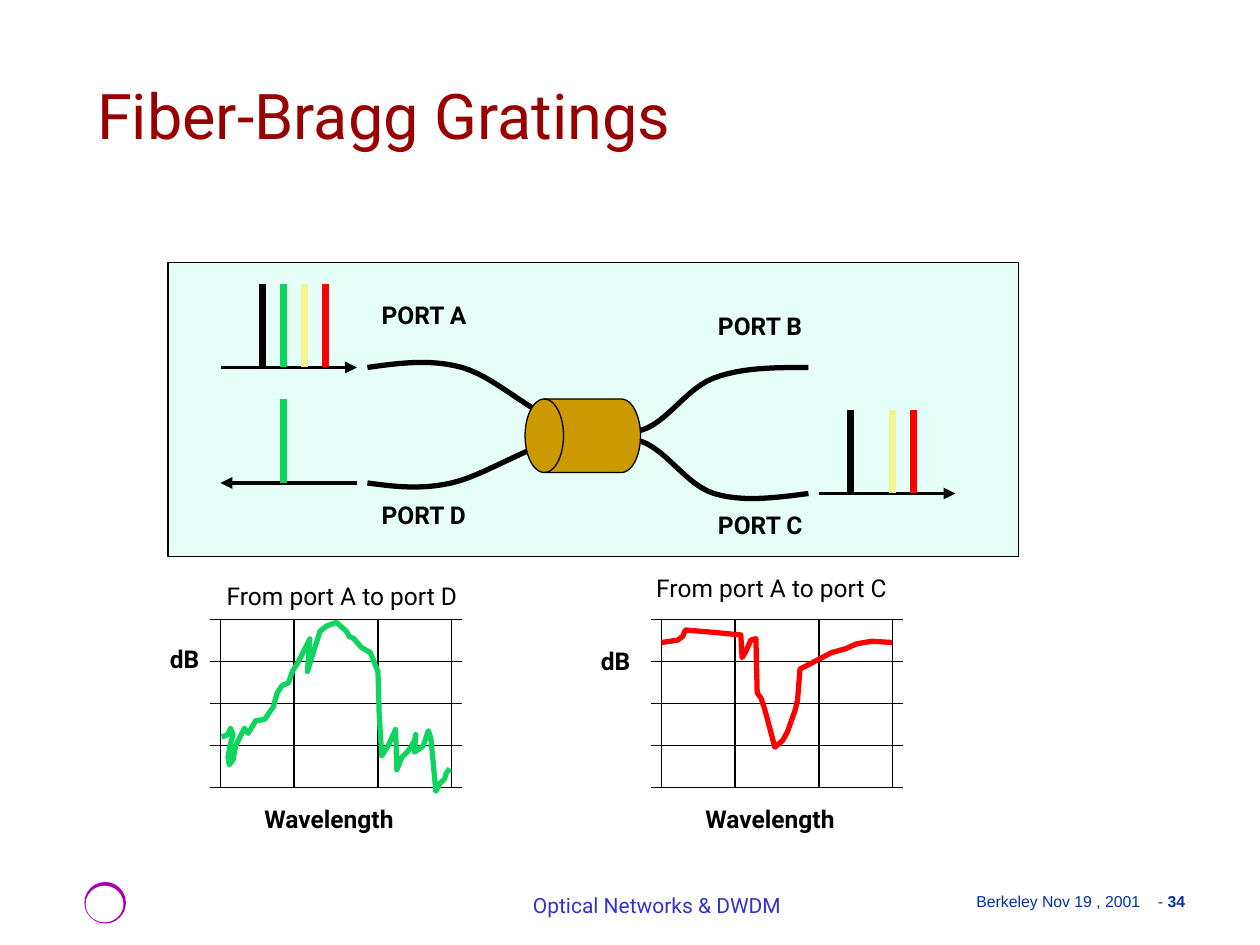
from lxml.etree import SubElement
from pptx import Presentation
from pptx.dml.color import RGBColor
from pptx.enum.shapes import MSO_CONNECTOR, MSO_SHAPE
from pptx.enum.text import MSO_ANCHOR, MSO_AUTO_SIZE, PP_ALIGN
from pptx.oxml.ns import qn
from pptx.util import Inches, Pt

BLACK, GREEN, YELLOW, RED = "000000", "0FD55F", "F3F58F", "FF0000"

FIBERS = [
    [(35, 35), (44, 35), (53, 40), (61, 41), (68, 36), (77, 35)],
    [(35, 46), (43, 46), (53, 42), (61, 42), (68, 47), (77, 47)],
]
REFLECTED = [
    (1.76, 5.85), (1.81, 5.83), (1.83, 5.78), (1.85, 5.83), (1.83, 5.9), (1.81, 6.01),
    (1.82, 6.07), (1.85, 6.03), (1.87, 5.92), (1.94, 5.78), (1.97, 5.82), (2.03, 5.72),
    (2.1, 5.71), (2.17, 5.61), (2.2, 5.5), (2.24, 5.44), (2.29, 5.42), (2.32, 5.33),
    (2.37, 5.25), (2.46, 5.07), (2.44, 5.33), (2.54, 5.01), (2.59, 4.97), (2.67, 4.94),
    (2.75, 5.01), (2.77, 5.05), (2.81, 5.07), (2.87, 5.14), (2.94, 5.18), (3, 5.33),
    (3.01, 5.67), (3.03, 6), (3.08, 5.92), (3.14, 5.79), (3.15, 6.11), (3.19, 6.01),
    (3.24, 5.96), (3.29, 5.88), (3.3, 5.83), (3.29, 5.97), (3.36, 5.92), (3.4, 5.8),
    (3.42, 5.86), (3.46, 6.28), (3.49, 6.22), (3.53, 6.18), (3.54, 6.14), (3.57, 6.1),
]
TRANSMITTED = [
    (5.25, 5.1), (5.32, 5.09), (5.38, 5.08), (5.42, 5.05), (5.44, 5), (5.67, 5.02),
    (5.88, 5.04), (5.89, 5.22), (5.92, 5.17), (5.96, 5.08), (6, 5.07), (6.01, 5.5),
    (6.04, 5.54), (6.07, 5.63), (6.15, 5.93), (6.21, 5.88), (6.25, 5.81), (6.31, 5.64),
    (6.33, 5.56), (6.35, 5.31), (6.39, 5.29), (6.6, 5.18), (6.71, 5.15), (6.8, 5.11),
    (6.92, 5.09), (7.08, 5.1),
]


def color(value):
    """Turn a hex string into a colour."""
    return RGBColor.from_string(value)


def grid(*units):
    """Convert grid units of a twelfth of an inch to lengths."""
    return [Inches(unit / 12) for unit in units]


def inches(*values):
    """Convert several numbers to lengths."""
    return [Inches(value) for value in values]


def set_line(line, value, width):
    """Give a line its colour and width."""
    line.color.rgb = color(value)
    line.width = Pt(width)


def add_solid(slide, preset, bounds, fill, outlined=True):
    """Add a filled preset shape."""
    shape = slide.shapes.add_shape(preset, *bounds)
    shape.shadow.inherit = False
    shape.fill.solid()
    shape.fill.fore_color.rgb = color(fill)
    if outlined:
        set_line(shape.line, BLACK, 0.75)
    else:
        shape.line.fill.background()
    return shape


def add_line(slide, start, end, value=BLACK, width=0.75, arrow=False):
    """Add a straight line between two grid points."""
    line = slide.shapes.add_connector(MSO_CONNECTOR.STRAIGHT, *grid(*start, *end))
    set_line(line.line, value, width)
    if arrow:
        SubElement(line.line._get_or_add_ln(), qn("a:tailEnd"), type="triangle")
    SubElement(line._element.spPr, qn("a:effectLst"))


def add_curve(slide, points, value):
    """Add an open outline through points given as lengths."""
    builder = slide.shapes.build_freeform(*points[0], scale=1.0)
    builder.add_line_segments(points[1:], close=False)
    curve = builder.convert_to_shape()
    curve.shadow.inherit = False
    curve.fill.background()
    set_line(curve.line, value, 3)


def smooth_points(knots, steps=12):
    """Sample a smooth spline that passes through the knots."""
    tangents = [[(after - before) / 6 for before, after in zip(previous, following)]
                for previous, following in zip(knots, knots[2:])]
    first = [(b - t - a) / 2 for a, b, t in zip(knots[0], knots[1], tangents[0])]
    last = [(b - a - t) / 2 for a, b, t in zip(knots[-2], knots[-1], tangents[-1])]
    tangents = [first, *tangents, last]
    points = [knots[0]]
    for index in range(len(knots) - 1):
        ends = list(zip(knots[index], knots[index + 1], tangents[index], tangents[index + 1]))
        for step in range(1, steps + 1):
            t = step / steps
            s = 1 - t
            points.append([s**3 * a + 3 * s * s * t * (a + u) + 3 * s * t * t * (b - v) + t**3 * b
                           for a, b, u, v in ends])
    return points


def format_runs(paragraph, size, value, name="Roboto", bold=False):
    """Format every run of a paragraph."""
    for run in paragraph.runs:
        run.font.size, run.font.name, run.font.bold = Pt(size), name, bold
        run.font.color.rgb = color(value)


def add_label(slide, text, left, top, width, bold=True):
    """Add a one-line label on the diagram."""
    box = slide.shapes.add_textbox(*inches(left, top, width, 0.34))
    box.text_frame.word_wrap = False
    box.text_frame.text = text
    format_runs(box.text_frame.paragraphs[0], 14, BLACK, bold=bold)


def add_signal(slide, start, end, baseline, bars):
    """Add a wavelength axis with its coloured bars."""
    add_line(slide, (start, baseline), (end, baseline), BLACK, 2.25, arrow=True)
    for column, value in bars:
        add_line(slide, (column, baseline - 8), (column, baseline), value, 4.5)


def add_graph(slide, left, trace, value):
    """Add a spectrum graph with its grid and trace."""
    top, bottom = 59, 75
    for row in range(top, bottom + 1, 4):
        add_line(slide, (left, row), (left + 24, row))
    for column in (1, 8, 16, 23):
        add_line(slide, (left + column, top), (left + column, bottom))
    add_curve(slide, [inches(*point) for point in trace], value)
    add_label(slide, "Wavelength", (left + 4) / 12, 6.33, 1.37)


def add_title(slide, text):
    """Place and format the title."""
    title = slide.shapes.title
    title.left, title.top, title.width, title.height = inches(0.67, 0.33, 8.52, 0.93)
    frame = title.text_frame
    frame.text = text
    frame.auto_size = MSO_AUTO_SIZE.NONE
    frame.vertical_anchor = MSO_ANCHOR.BOTTOM
    frame.paragraphs[0].alignment = PP_ALIGN.LEFT
    format_runs(frame.paragraphs[0], 36, "990000")


def add_footer(slide):
    """Add the ring, the course name and the date with page number."""
    add_solid(slide, MSO_SHAPE.OVAL, inches(0.67, 7, 0.33, 0.33), "A603AB", False)
    add_solid(slide, MSO_SHAPE.OVAL, inches(0.68, 7.03, 0.3, 0.29), "FFFFFF", False)

    course = slide.shapes.add_textbox(*inches(3.63, 6.83, 3.17, 0.5)).text_frame
    course.word_wrap = True
    course.vertical_anchor = MSO_ANCHOR.BOTTOM
    course.text = "Optical Networks & DWDM"
    course.paragraphs[0].alignment = PP_ALIGN.CENTER
    format_runs(course.paragraphs[0], 12, "3333CC")

    date = slide.shapes.add_textbox(*inches(7.66, 7.08, 1.84, 0.15)).text_frame
    date.word_wrap = True
    date.margin_left, date.margin_top, date.margin_right, date.margin_bottom = inches(0.09, 0, 0, 0)
    date.text = "Berkeley Nov 19 , 2001\t- "
    paragraph = date.paragraphs[0]
    tabs = SubElement(paragraph._p.get_or_add_pPr(), qn("a:tabLst"))
    SubElement(tabs, qn("a:tab"), pos=str(Inches(1.44)), algn="l")
    paragraph.add_run().text = "34"
    format_runs(paragraph, 9, "003399", "Arial")
    paragraph.runs[-1].font.bold = True


def add_coupler(slide):
    """Add the panel with the fibers, the grating and its signals."""
    add_solid(slide, MSO_SHAPE.RECTANGLE, grid(16, 25, 81, 28), "E5FFF8")
    for knots in FIBERS:
        add_curve(slide, [grid(*point) for point in smooth_points(knots)], BLACK)
    drum = add_solid(slide, MSO_SHAPE.FLOWCHART_DIRECT_ACCESS_STORAGE, grid(50, 38, 11, 7), "CC9900")
    drum.rotation = 180
    add_signal(slide, 21, 34, 35, [(25, BLACK), (27, GREEN), (29, YELLOW), (31, RED)])
    add_signal(slide, 78, 91, 47, [(81, BLACK), (85, YELLOW), (87, RED)])
    add_signal(slide, 34, 21, 46, [(27, GREEN)])
    for port, left, top in [("A", 2.93, 2.33), ("B", 5.6, 2.42), ("D", 2.93, 3.92), ("C", 5.6, 4)]:
        add_label(slide, f"PORT {port}", left, top, 0.9)


def main():
    """Build and save the slide."""
    presentation = Presentation()
    presentation.slide_width, presentation.slide_height = inches(10, 7.5)
    slide = presentation.slides.add_slide(presentation.slide_layouts[5])
    add_footer(slide)
    add_title(slide, "Fiber-Bragg Gratings")
    add_coupler(slide)
    add_graph(slide, 20, REFLECTED, GREEN)
    add_graph(slide, 62, TRANSMITTED, RED)
    add_label(slide, "From port A to port D", 1.7, 4.56, 2.17, bold=False)
    add_label(slide, "From port A to port C", 5.11, 4.5, 2.15, bold=False)
    add_label(slide, "dB", 1.25, 5.06, 0.45)
    add_label(slide, "dB", 4.67, 5.08, 0.45)
    presentation.save("out.pptx")


if __name__ == "__main__":
    main()
